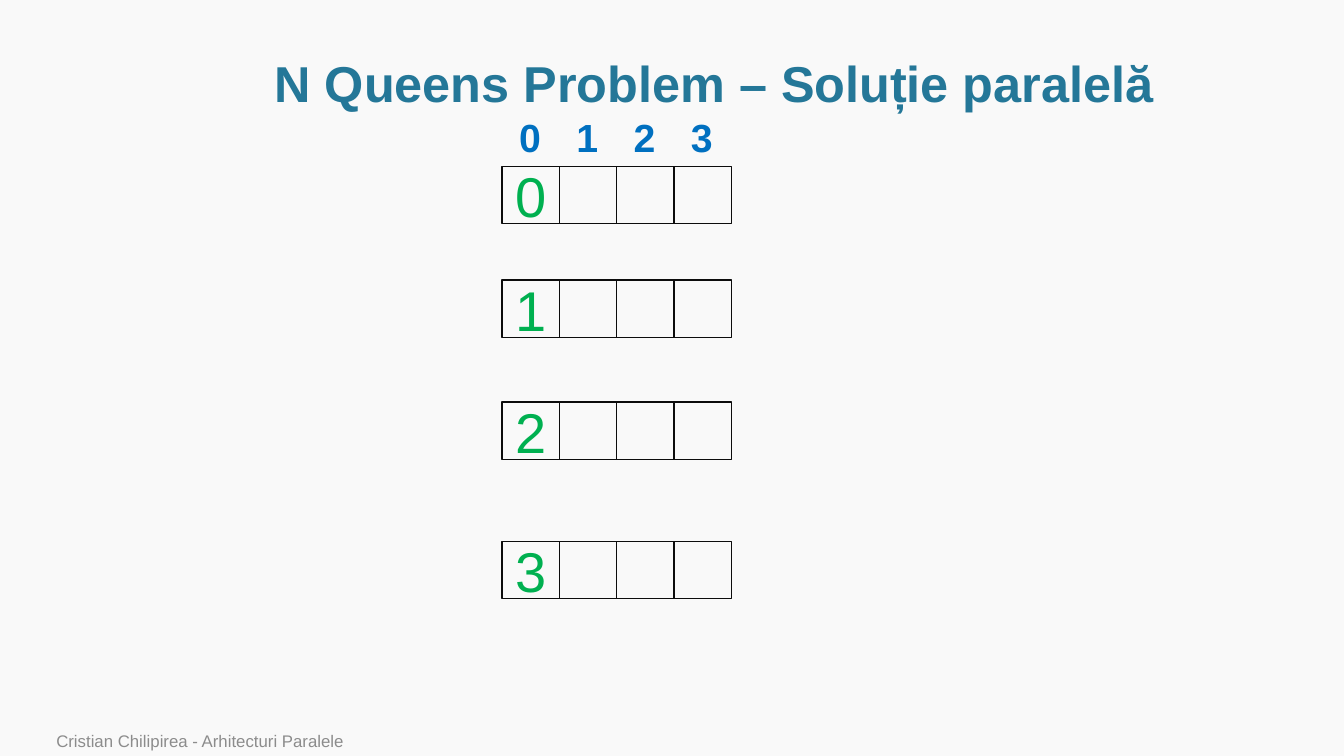
from dataclasses import dataclass

from pptx import Presentation
from pptx.dml.color import RGBColor
from pptx.enum.shapes import MSO_SHAPE
from pptx.enum.text import MSO_ANCHOR, MSO_AUTO_SIZE, PP_ALIGN
from pptx.slide import Slide
from pptx.text.text import TextFrame
from pptx.util import Inches, Pt

COLORS = {
    "background": "F9F9F9",
    "title": "247798",
    "column": "0070C0",
    "queen": "00B050",
    "border": "0C0C0C",
    "footer": "8C8C8C",
}
FONT = "Arial"
COLUMNS = 4
BOARD_LEFT = 4.98
CELL_STEP = 0.568
CELL_SIZE = 0.57


@dataclass(frozen=True)
class Area:
    left: float
    top: float
    width: float
    height: float

    def lengths(self) -> tuple:
        return tuple(Inches(n) for n in (self.left, self.top, self.width, self.height))


@dataclass(frozen=True)
class BoardRow:
    label: str
    top: float


ROWS = [BoardRow("0", 1.65), BoardRow("1", 2.78), BoardRow("2", 3.99), BoardRow("3", 5.37)]


def color(name: str) -> RGBColor:
    return RGBColor.from_string(COLORS[name])


def write(frame: TextFrame, text: str, *, size: int, fill: str, bold: bool = False,
          align: PP_ALIGN = PP_ALIGN.LEFT, anchor: MSO_ANCHOR = MSO_ANCHOR.TOP,
          wrap: bool = True, line_spacing: float = 1.0) -> None:
    frame.word_wrap = wrap
    frame.vertical_anchor = anchor
    para = frame.paragraphs[0]
    para.alignment = align
    para.line_spacing = line_spacing
    span = para.add_run()
    span.text = text
    span.font.name = FONT
    span.font.size = Pt(size)
    span.font.bold = bold
    span.font.color.rgb = color(fill)


def add_text(page: Slide, area: Area) -> TextFrame:
    return page.shapes.add_textbox(*area.lengths()).text_frame


def add_cell(page: Slide, column: int, top: float) -> TextFrame:
    area = Area(BOARD_LEFT + column * CELL_STEP, top, CELL_SIZE, CELL_SIZE)
    cell = page.shapes.add_shape(MSO_SHAPE.RECTANGLE, *area.lengths())
    cell.shadow.inherit = False
    cell.fill.background()
    cell.line.color.rgb = color("border")
    cell.line.width = Pt(1)
    return cell.text_frame


def add_column_labels(page: Slide) -> None:
    for column in range(COLUMNS):
        area = Area(BOARD_LEFT + 0.07 + column * CELL_STEP, 1.08, 0.42, 0.57)
        frame = add_text(page, area)
        write(frame, str(column), size=28, fill="column", bold=True, wrap=False)
        frame.auto_size = MSO_AUTO_SIZE.SHAPE_TO_FIT_TEXT


def add_board_row(page: Slide, row: BoardRow) -> None:
    cells = [add_cell(page, column, row.top) for column in range(COLUMNS)]
    write(cells[0], row.label, size=40, fill="queen",
          align=PP_ALIGN.CENTER, anchor=MSO_ANCHOR.MIDDLE)


def main() -> None:
    deck = Presentation()
    deck.slide_width = Inches(13.33)
    deck.slide_height = Inches(7.5)
    page = deck.slides.add_slide(deck.slide_layouts[6])
    page.background.fill.solid()
    page.background.fill.fore_color.rgb = color("background")

    write(add_text(page, Area(1.14, 0.51, 11.89, 0.69)),
          "N Queens Problem – Soluție paralelă", size=36, fill="title", bold=True,
          align=PP_ALIGN.CENTER, anchor=MSO_ANCHOR.MIDDLE, line_spacing=0.9)
    add_column_labels(page)
    for row in ROWS:
        add_board_row(page, row)
    write(add_text(page, Area(0.46, 7.22, 9.82, 0.28)),
          "Cristian Chilipirea - Arhitecturi Paralele", size=12, fill="footer",
          anchor=MSO_ANCHOR.BOTTOM)
    deck.save("out.pptx")


if __name__ == "__main__":
    main()
